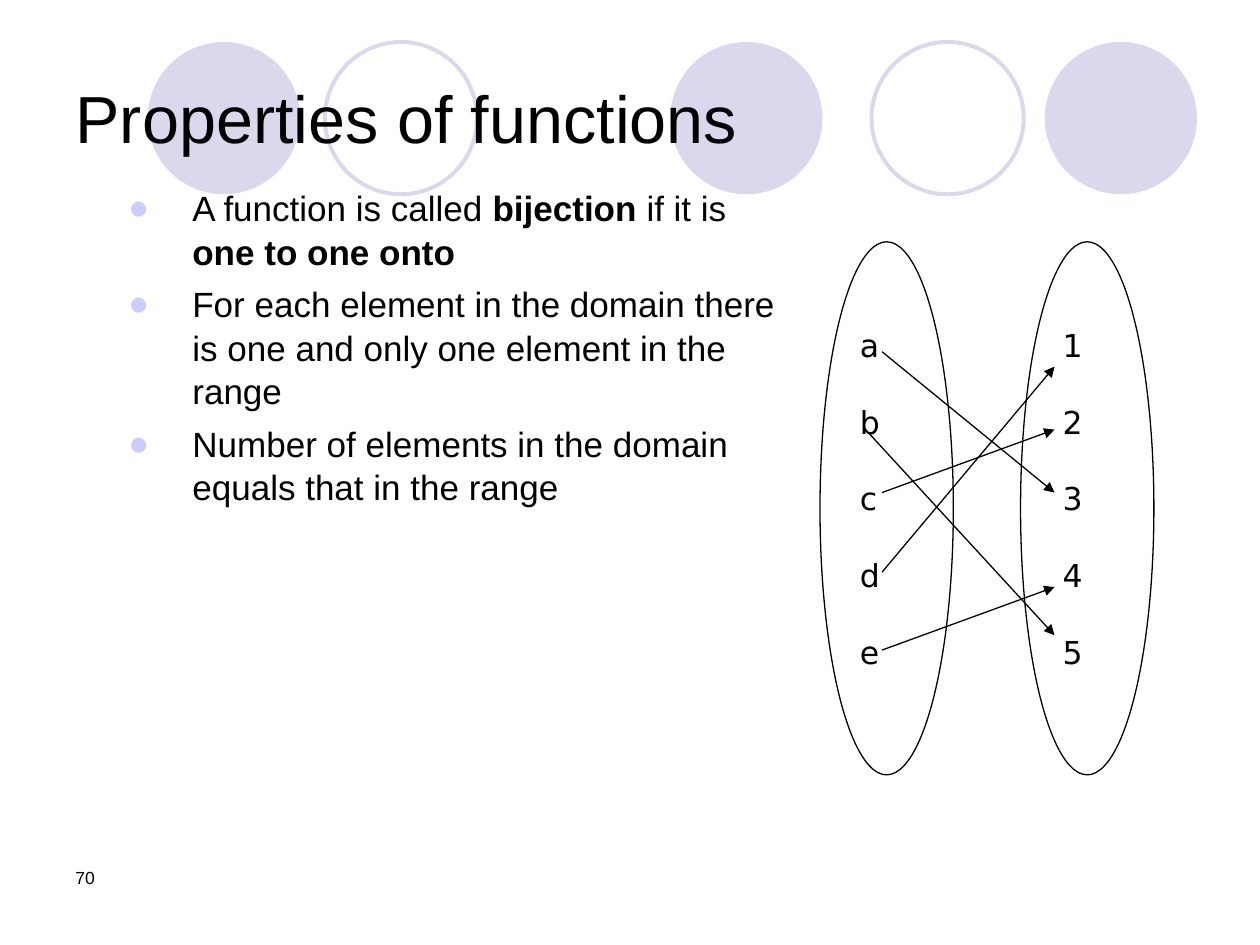
"""Build the slide "Properties of functions" with a bijection diagram."""
from lxml.etree import SubElement
from pptx import Presentation
from pptx.dml.color import RGBColor
from pptx.enum.shapes import MSO_CONNECTOR, MSO_SHAPE
from pptx.enum.text import MSO_ANCHOR, MSO_AUTO_SIZE, PP_ALIGN
from pptx.oxml.ns import qn
from pptx.util import Pt

COLORS = {name: RGBColor.from_string(value) for name, value in {
    "text": "000000", "paper": "FFFFFF", "circle": "D9D8EC"}.items()}
BULLET_COLOR = "CCCCFF"


def format_runs(paragraph, size, font="Arial"):
    paragraph.alignment = PP_ALIGN.LEFT
    for run in paragraph.runs:
        run.font.size = Pt(size)
        run.font.name = font
        run.font.color.rgb = COLORS["text"]


def add_ellipse(shapes, left, top, width, height, fill, line, line_width):
    ellipse = shapes.add_shape(
        MSO_SHAPE.OVAL, Pt(left), Pt(top), Pt(width), Pt(height))
    ellipse.shadow.inherit = False
    if fill:
        ellipse.fill.solid()
        ellipse.fill.fore_color.rgb = COLORS[fill]
    else:
        ellipse.fill.background()
    if line:
        ellipse.line.color.rgb = COLORS[line]
        ellipse.line.width = Pt(line_width)
    else:
        ellipse.line.fill.background()
    return ellipse


presentation = Presentation()
presentation.slide_width, presentation.slide_height = Pt(720), Pt(540)
slide = presentation.slides.add_slide(presentation.slide_layouts[1])
shapes = slide.shapes
title, body = shapes.title, slide.placeholders[1]

for left, filled in [(383, True), (597, True), (84.4, True),
                     (498, False), (185.6, False)]:
    circle = add_ellipse(shapes, left, 24, 87, 87,
                         "circle" if filled else None,
                         None if filled else "circle", 2.25)
    title.element.addprevious(circle.element)

title.left, title.top, title.width, title.height = Pt(36), Pt(21.6), Pt(648), Pt(90)
title.text_frame.text = "Properties of functions"
title.text_frame.auto_size = MSO_AUTO_SIZE.NONE
title.text_frame.vertical_anchor = MSO_ANCHOR.MIDDLE
format_runs(title.text_frame.paragraphs[0], 38)

body.left, body.top, body.width, body.height = Pt(66), Pt(102), Pt(388), Pt(390)
body.text_frame.auto_size = MSO_AUTO_SIZE.NONE
bullets = [
    [("A function is called ", False), ("bijection ", True),
     ("if it is ", False), ("one to one onto", True)],
    [("For each element in the domain there is one and only one "
      "element in the range", False)],
    [("Number of elements in the domain equals that in the range", False)],
]
for index, parts in enumerate(bullets):
    paragraph = (body.text_frame.add_paragraph() if index
                 else body.text_frame.paragraphs[0])
    for text, bold in parts:
        run = paragraph.add_run()
        run.text = text
        run.font.bold = bold
    format_runs(paragraph, 20)
    paragraph.space_before = Pt(5)
    paragraph.line_spacing = 1.04
    properties = paragraph._p.get_or_add_pPr()
    properties.set("marL", str(Pt(36.75)))
    properties.set("indent", str(-Pt(36.75)))
    bullet_color = SubElement(properties, qn("a:buClr"))
    SubElement(bullet_color, qn("a:srgbClr")).set("val", BULLET_COLOR)
    SubElement(properties, qn("a:buFont")).set("typeface", "Arial")
    SubElement(properties, qn("a:buChar")).set("char", "●")

page_number = shapes.add_textbox(Pt(36), Pt(492), Pt(168), Pt(36))
page_number.text_frame.word_wrap = True
page_number.text_frame.text = "70"
format_runs(page_number.text_frame.paragraphs[0], 10)

for left, labels, margin in [(468.6, "abcde", 11.7), (583.2, "12345", 12.9)]:
    number_set = add_ellipse(shapes, left, 138.2, 76.2, 304.6, "paper", "text", 0.75)
    text_frame = number_set.text_frame
    text_frame.vertical_anchor = MSO_ANCHOR.TOP
    text_frame.margin_left = Pt(margin)
    text_frame.text = "\n".join(labels)
    for index, paragraph in enumerate(text_frame.paragraphs):
        format_runs(paragraph, 18, "DejaVu Sans")
        paragraph.space_before = Pt(22.25 if index else 0)

for start_x, start_y, end_y in [(504, 201, 281.5), (504, 281.5, 245.5),
                                (504, 327, 209.5), (494.6, 245.5, 363),
                                (504, 371.5, 335.5)]:
    arrow = shapes.add_connector(
        MSO_CONNECTOR.STRAIGHT, Pt(start_x), Pt(start_y), Pt(602.6), Pt(end_y))
    arrow.line.color.rgb = COLORS["text"]
    arrow.line.width = Pt(0.75)
    SubElement(arrow.line._get_or_add_ln(), qn("a:tailEnd")).set("type", "triangle")
    SubElement(arrow.element.spPr, qn("a:effectLst"))

presentation.save("out.pptx")
